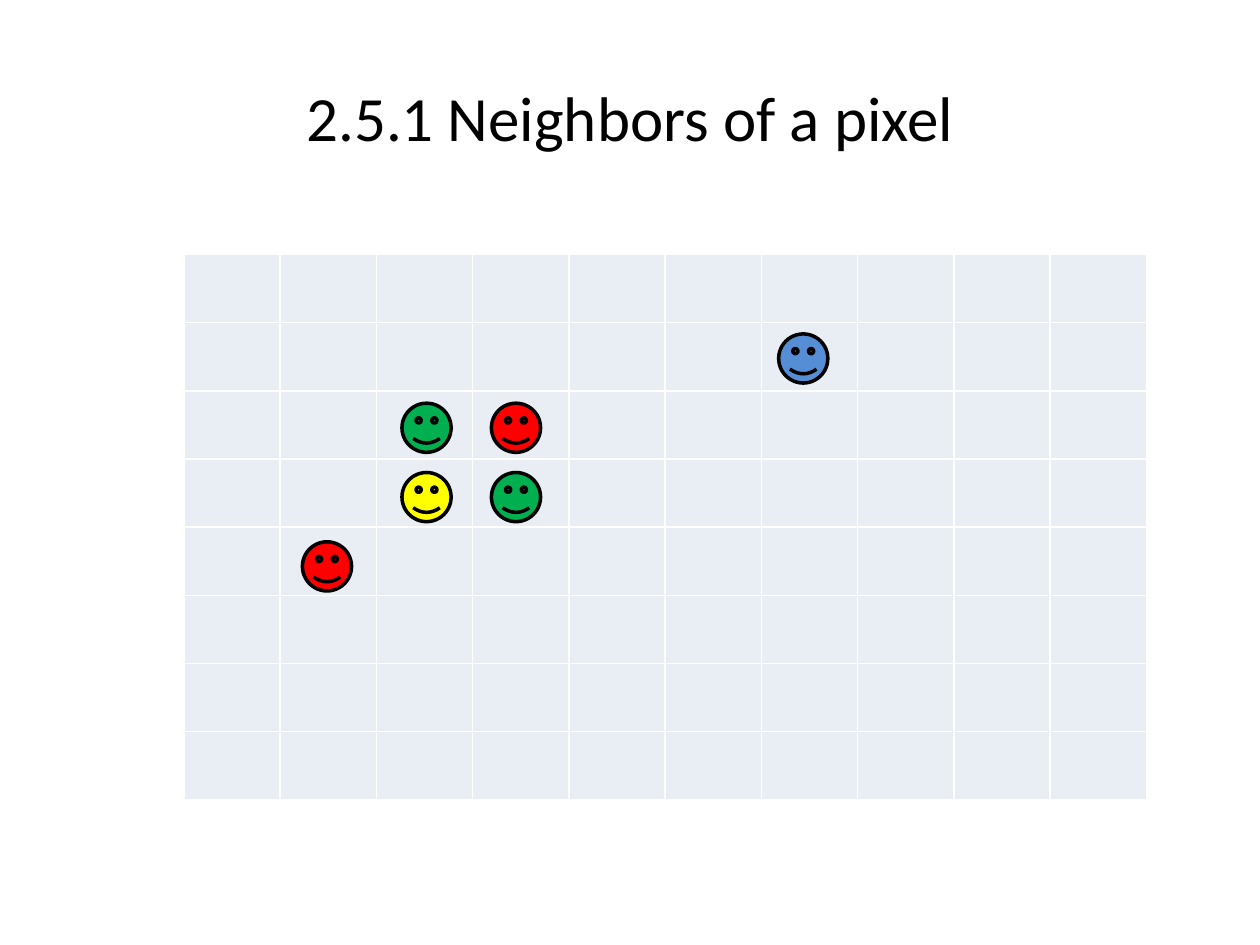
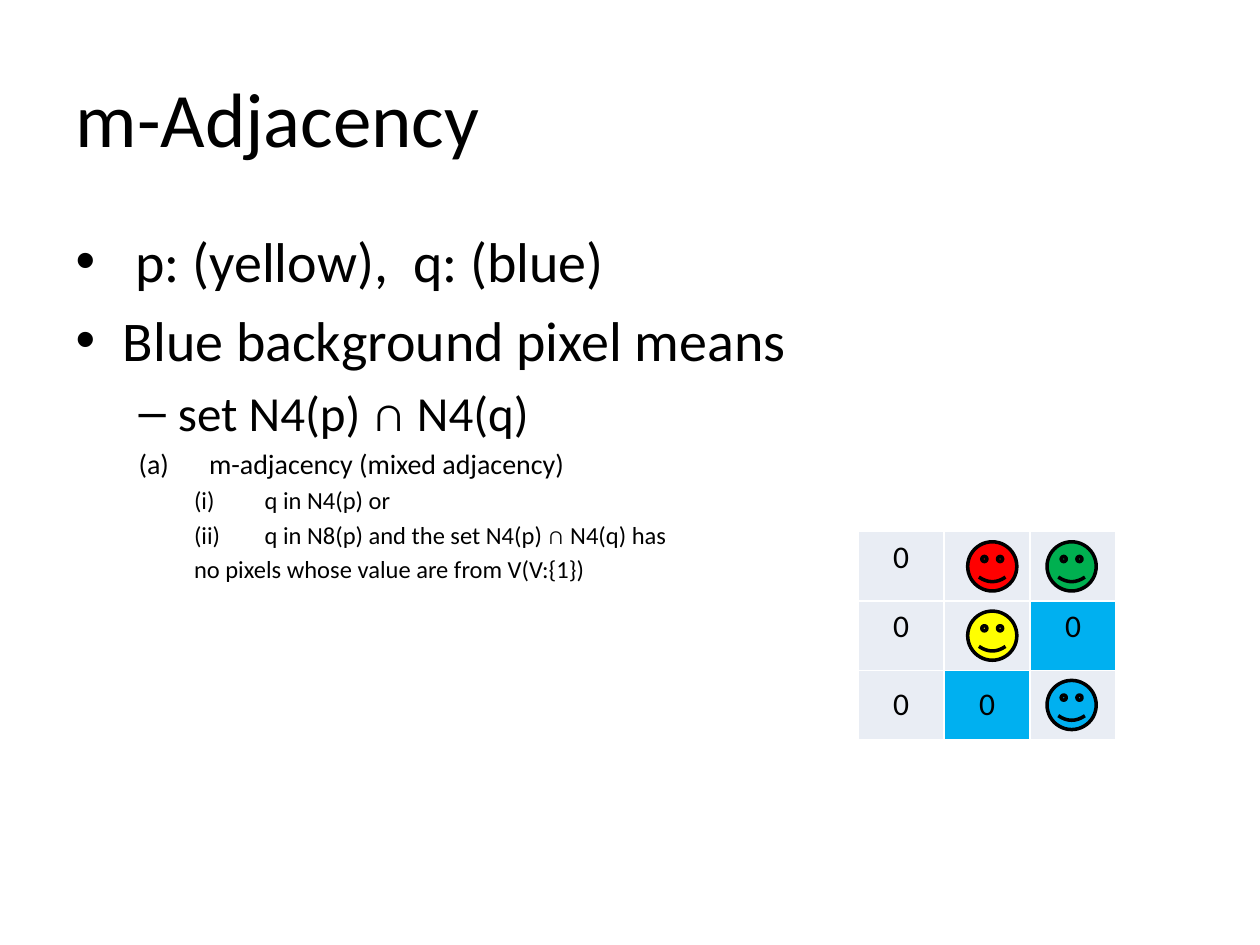
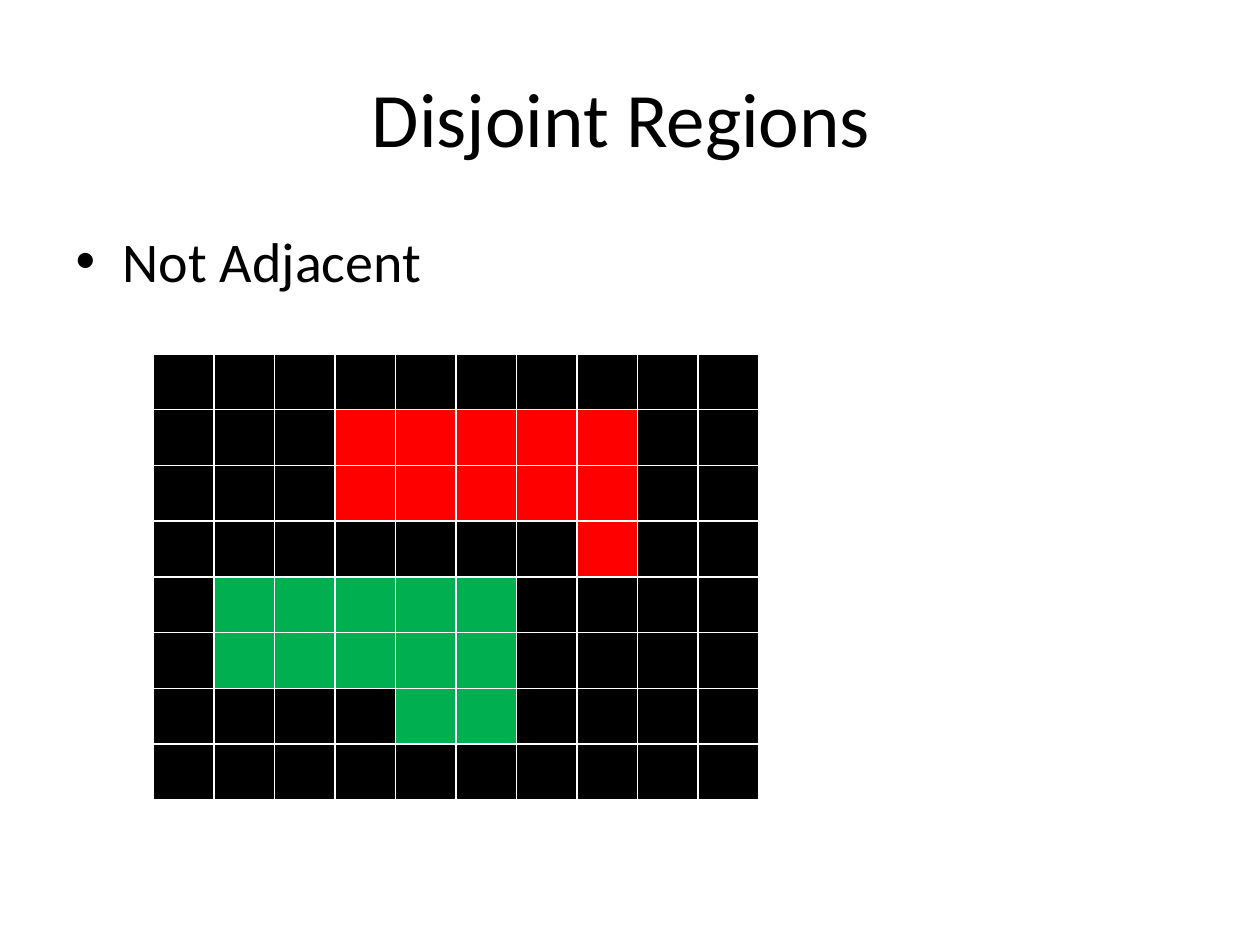
import dataclasses

import pptx
import pptx.dml.color
import pptx.enum.shapes
import pptx.enum.text
import pptx.oxml
import pptx.oxml.ns
import pptx.util

Inches = pptx.util.Inches
Pt = pptx.util.Pt
Align = pptx.enum.text.PP_ALIGN
Anchor = pptx.enum.text.MSO_ANCHOR


@dataclasses.dataclass(frozen=True)
class Theme:
    font: str = "Calibri"
    black: str = "000000"
    pale: str = "E9EDF4"
    red: str = "FF0000"
    green: str = "00B050"
    yellow: str = "FFFF00"
    blue: str = "558ED5"
    sky: str = "00B0F0"
    small_head: int = 36
    head: int = 44
    list: int = 32
    sub: int = 28
    item: int = 16
    point: int = 14
    cell: int = 18
    line: int = 2
    face: float = 0.39


theme = Theme()
fills = {".": theme.pale, "B": theme.black, "R": theme.red,
         "G": theme.green, "S": theme.sky}


def rgb(code):
    return pptx.dml.color.RGBColor.from_string(code)


def style(font, size):
    font.name = theme.font
    font.size = Pt(size)
    font.color.rgb = rgb(theme.black)


# Lines: text, level, size, hanging indent or None, bullet element or None
letter = '<a:buAutoNum %s type="alphaLcParenBoth"/>'
roman = '<a:buAutoNum %s type="romanLcParenBoth"/>'
plain = "<a:buNone %s/>"
rules = [
    (" p: (yellow),  q: (blue)", 0, theme.list, None, None),
    ("Blue background pixel means", 0, theme.list, None, None),
    ("set N4(p) ∩ N4(q)", 1, theme.sub, None, None),
    ("m-adjacency (mixed adjacency)", 1, theme.item, 1.06, letter),
    ("q in N4(p) or", 2, theme.point, 1.5, roman),
    ("q in N8(p) and the set N4(p) ∩ N4(q) has", 2, theme.point, 1.5, roman),
    ("no pixels whose value are from V(V:{1})", 2, theme.point, 1.5, plain),
]

# Each grid: place, rows of fill keys, and the texts by (row, column)
# Each face: left, top, colour
pages = [
    dict(
        title="2.5.1 Neighbors of a pixel", size=theme.small_head,
        align=Align.CENTER, lines=[],
        place=(1.46, 2.02, 7.64, 4.33), rows=["." * 10] * 8, texts={},
        faces=[(3.19, 3.75, theme.yellow), (3.19, 3.2, theme.green),
               (3.9, 3.2, theme.red), (6.18, 2.65, theme.blue),
               (3.9, 3.75, theme.green), (2.4, 4.3, theme.red)],
    ),
    dict(
        title="m-Adjacency", size=theme.head, align=Align.LEFT, lines=rules,
        place=(6.81, 4.22, 2.05, 1.65), rows=["...", "..S", ".S."],
        texts={(0, 0): "0", (1, 0): "0", (1, 2): "0", (2, 0): "0", (2, 1): "0"},
        faces=[(7.68, 4.85, theme.yellow), (7.68, 4.3, theme.red),
               (8.31, 4.3, theme.green), (8.31, 5.4, theme.sky)],
    ),
    dict(
        title="Disjoint Regions ", size=theme.head, align=Align.CENTER,
        lines=[("Not Adjacent", 0, theme.list, None, None)],
        place=(1.22, 2.81, 4.8, 3.54), texts={}, faces=[],
        rows=["BBBBBBBBBB",
              "BBBRRRRRBB",
              "BBBRRRRRBB",
              "BBBBBBBRBB",
              "BGGGGGBBBB",
              "BGGGGGBBBB",
              "BBBBGGBBBB",
              "BBBBBBBBBB"],
    ),
]

deck = pptx.Presentation()
deck.slide_width, deck.slide_height = Inches(10), Inches(7.5)

for page in pages:
    layout = deck.slide_layouts[1 if page["lines"] else 5]
    slide = deck.slides.add_slide(layout)
    shapes = slide.shapes

    title = shapes.title
    title.left, title.top = Inches(0.5), Inches(0.3)
    title.width, title.height = Inches(9), Inches(1.25)
    title.text_frame.text = page["title"]
    title.text_frame.vertical_anchor = Anchor.MIDDLE
    head = title.text_frame.paragraphs[0]
    head.alignment = page["align"]
    style(head.runs[0].font, page["size"])

    if page["lines"]:
        body = slide.placeholders[1]
        body.left, body.top = Inches(0.5), Inches(1.75)
        body.width, body.height = Inches(9), Inches(4.95)
        frame = body.text_frame
        frame.text = "\n".join(line[0] for line in page["lines"])
        frame.auto_size = pptx.enum.text.MSO_AUTO_SIZE.NONE
        for para, line in zip(frame.paragraphs, page["lines"]):
            text, level, size, indent, bullet = line
            para.level = level
            if bullet:
                props = para._p.get_or_add_pPr()
                props.set("marL", str(Inches(indent)))
                props.set("indent", str(Inches(-0.56)))
                mark = bullet % pptx.oxml.ns.nsdecls("a")
                props.append(pptx.oxml.parse_xml(mark))
            style(para.runs[0].font, size)
        frame.paragraphs[0].space_before = Pt(0)

    rows = page["rows"]
    place = [Inches(n) for n in page["place"]]
    grid = shapes.add_table(len(rows), len(rows[0]), *place).table
    grid.first_row = grid.horz_banding = False
    for r, row in enumerate(rows):
        for c, key in enumerate(row):
            cell = grid.cell(r, c)
            cell.fill.solid()
            cell.fill.fore_color.rgb = rgb(fills[key])
            if (r, c) in page["texts"]:
                cell.text_frame.text = page["texts"][r, c]
                para = cell.text_frame.paragraphs[0]
                para.alignment = Align.CENTER
                style(para.runs[0].font, theme.cell)
                if r == len(rows) - 1:
                    cell.vertical_anchor = Anchor.MIDDLE

    for left, top, color in page["faces"]:
        face = shapes.add_shape(
            pptx.enum.shapes.MSO_SHAPE.SMILEY_FACE, Inches(left), Inches(top),
            Inches(theme.face), Inches(theme.face))
        face.shadow.inherit = False
        face.fill.solid()
        face.fill.fore_color.rgb = rgb(color)
        face.line.color.rgb = rgb(theme.black)
        face.line.width = Pt(theme.line)

deck.save("out.pptx")
